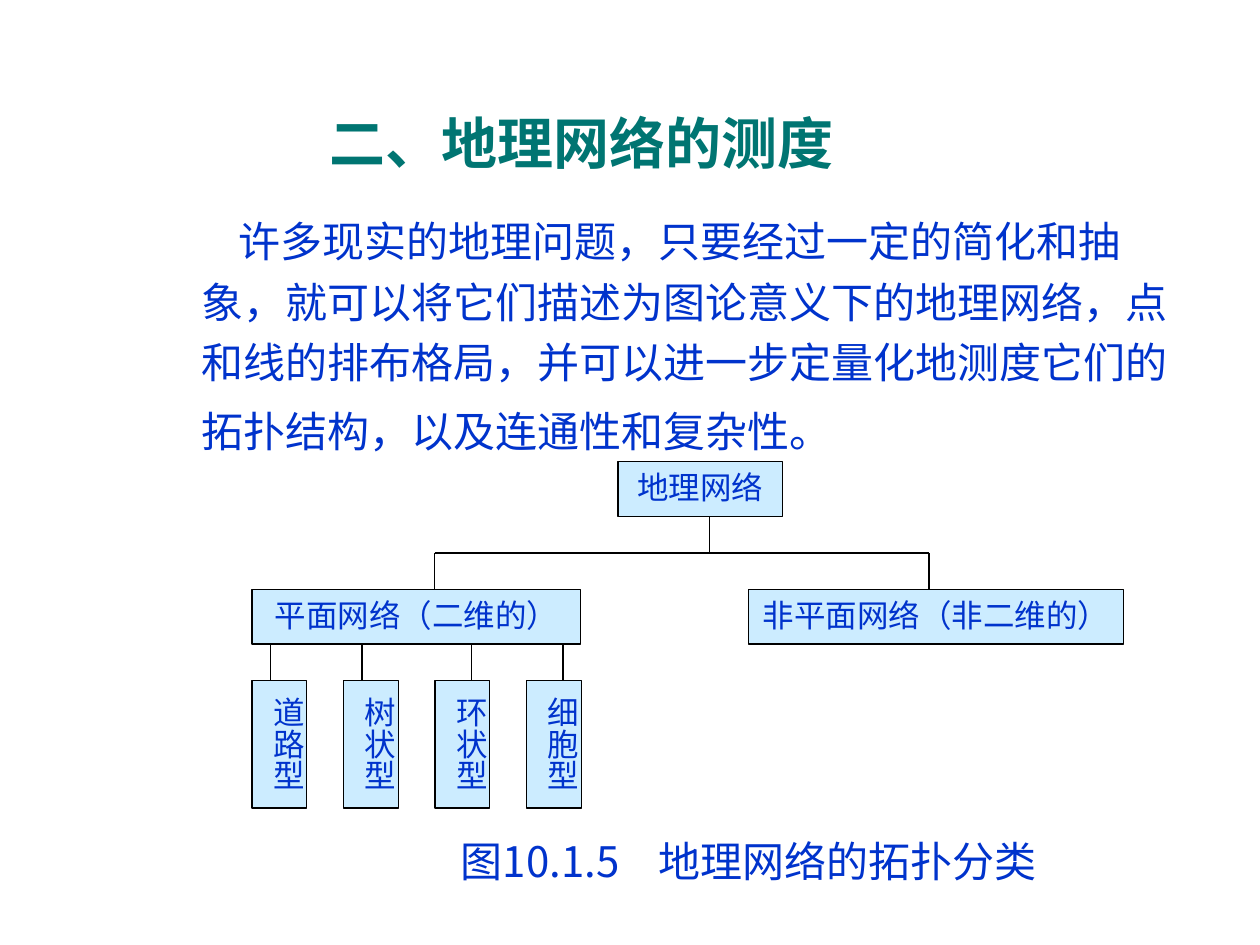
import pptx
import pptx.util
import pptx.dml.color
import pptx.enum.shapes
import pptx.enum.text
import pptx.oxml
import pptx.oxml.ns

Pt = pptx.util.Pt
ALIGN = pptx.enum.text.PP_ALIGN
ANCHOR = pptx.enum.text.MSO_ANCHOR
FIT = pptx.enum.text.MSO_AUTO_SIZE

COLORS = {"title": "007572", "text": "0033CC", "box": "CCECFF", "line": "000000"}
HAN, LATIN, SERIF = "Noto Sans CJK SC", "Arial", "Times New Roman"

TITLE = "二、地理网络的测度"
BODY = ("许多现实的地理问题，只要经过一定的简化和抽象，就可以将它们描述为图论意义下的"
        "地理网络，点和线的排布格局，并可以进一步定量化地测度它们的拓扑结构，"
        "以及连通性和复杂性。")
CAPTION = "图10.1.5\t地理网络的拓扑分类"

# label, left, width
ROOT = ("地理网络", 353.1, 94.2)
KINDS = [("平面网络（二维的）", 144, 187.8),
         ("非平面网络（非二维的）", 427.7, 214.4)]
LEAVES = ["道路型", "树状型", "环状型", "细胞型"]

# Levels of the tree
ROOT_TOP, BOX_H, GAP = 263.9, 31.2, 20.9
BAR_Y = ROOT_TOP + BOX_H + GAP
KIND_TOP = BAR_Y + GAP
KIND_END = KIND_TOP + BOX_H
LEAF_TOP = KIND_END + GAP
LEAF_LEFT, LEAF_STEP, LEAF_W, LEAF_H = 144, 52.3, 31.3, 72.8
ROOT_X, ENDS = 405.5, (248.5, 530.8)
LEAF_XS = [154.6, 206.8, 269.5, 321.7]


def color(name):
    return pptx.dml.color.RGBColor.from_string(COLORS[name])


def add_run(para, text, size, font, hue="text", bold=False):
    run = para.add_run()
    run.text = text
    run.font.size = Pt(size)
    run.font.bold = bold
    run.font.color.rgb = color(hue)
    run.font.name = font
    east = pptx.oxml.parse_xml(
        f'<a:ea {pptx.oxml.ns.nsdecls("a")} typeface="{HAN}"/>')
    run.font._element.find(pptx.oxml.ns.qn("a:latin")).addnext(east)


def add_line(group, x1, y1, x2, y2):
    line = group.shapes.add_connector(
        pptx.enum.shapes.MSO_CONNECTOR.STRAIGHT, Pt(x1), Pt(y1), Pt(x2), Pt(y2))
    line.line.color.rgb = color("line")
    line.line.width = Pt(0.75)
    line._element.spPr.append(pptx.oxml.parse_xml(
        f'<a:effectLst {pptx.oxml.ns.nsdecls("a")}/>'))


def add_box(group, label, left, top, width, height, upright=False):
    """Add a tree node; an upright one has its text set in a column."""
    box = group.shapes.add_shape(
        pptx.enum.shapes.MSO_SHAPE.RECTANGLE, Pt(left), Pt(top), Pt(width), Pt(height))
    box.shadow.inherit = False
    box.fill.solid()
    box.fill.fore_color.rgb = color("box")
    box.line.color.rgb = color("line")
    box.line.width = Pt(0.75)
    frame = box.text_frame
    frame.word_wrap = True
    frame.vertical_anchor = ANCHOR.TOP
    if upright:
        frame.margin_left = frame.margin_right = 0
        frame.margin_top = frame.margin_bottom = 0
        frame._txBody.bodyPr.set("vert", "eaVert")
        frame._txBody.bodyPr.set("anchorCtr", "1")
    para = frame.paragraphs[0]
    para.alignment = ALIGN.CENTER
    add_run(para, label, 18, SERIF)


def add_title(slide):
    title = slide.shapes.title
    title.left, title.top, title.width, title.height = map(Pt, (150.5, 43.2, 373.7, 66.2))
    frame = title.text_frame
    frame.auto_size = FIT.NONE
    frame.vertical_anchor = ANCHOR.MIDDLE
    para = frame.paragraphs[0]
    para.alignment = ALIGN.CENTER
    add_run(para, TITLE, 32, HAN, "title", True)
    add_run(para, " ", 44, LATIN, "title")


def add_text(slide, left, top, width, height, wrap):
    frame = slide.shapes.add_textbox(Pt(left), Pt(top), Pt(width), Pt(height)).text_frame
    frame.word_wrap = wrap
    frame.auto_size = FIT.SHAPE_TO_FIT_TEXT
    return frame.paragraphs[0]


def add_body(slide):
    para = add_text(slide, 108, 114, 581.8, 151.2, True)
    para.line_spacing = 1.2
    props = para._p.get_or_add_pPr()
    props.set("indent", str(Pt(21)))
    props.set("hangingPunct", "0")
    add_run(para, BODY, 24, HAN)
    add_run(para, " ", 28, LATIN)


def add_caption(slide):
    para = add_text(slide, 256.3, 473.8, 348.5, 36, False)
    para._p.get_or_add_pPr().append(pptx.oxml.parse_xml(
        f'<a:tabLst {pptx.oxml.ns.nsdecls("a")}>'
        f'<a:tab pos="{Pt(113)}" algn="l"/></a:tabLst>'))
    add_run(para, CAPTION, 24, HAN)


def add_tree(slide):
    tree = slide.shapes.add_group_shape()
    add_line(tree, ROOT_X, ROOT_TOP + BOX_H, ROOT_X, BAR_Y)
    add_line(tree, ENDS[0], BAR_Y, ENDS[1], BAR_Y)
    for x in ENDS:
        add_line(tree, x, BAR_Y, x, KIND_TOP)
    for x in LEAF_XS:
        add_line(tree, x, KIND_END, x, LEAF_TOP)

    label, left, width = ROOT
    add_box(tree, label, left, ROOT_TOP, width, BOX_H)
    for label, left, width in KINDS:
        add_box(tree, label, left, KIND_TOP, width, BOX_H)
    for i, label in enumerate(LEAVES):
        add_box(tree, label, LEAF_LEFT + i * LEAF_STEP, LEAF_TOP, LEAF_W, LEAF_H, True)


def main():
    deck = pptx.Presentation()
    deck.slide_width, deck.slide_height = Pt(720), Pt(540)
    slide = deck.slides.add_slide(deck.slide_layouts.get_by_name("Title Only"))
    add_title(slide)
    add_body(slide)
    add_tree(slide)
    add_caption(slide)
    deck.save("out.pptx")


if __name__ == "__main__":
    main()
